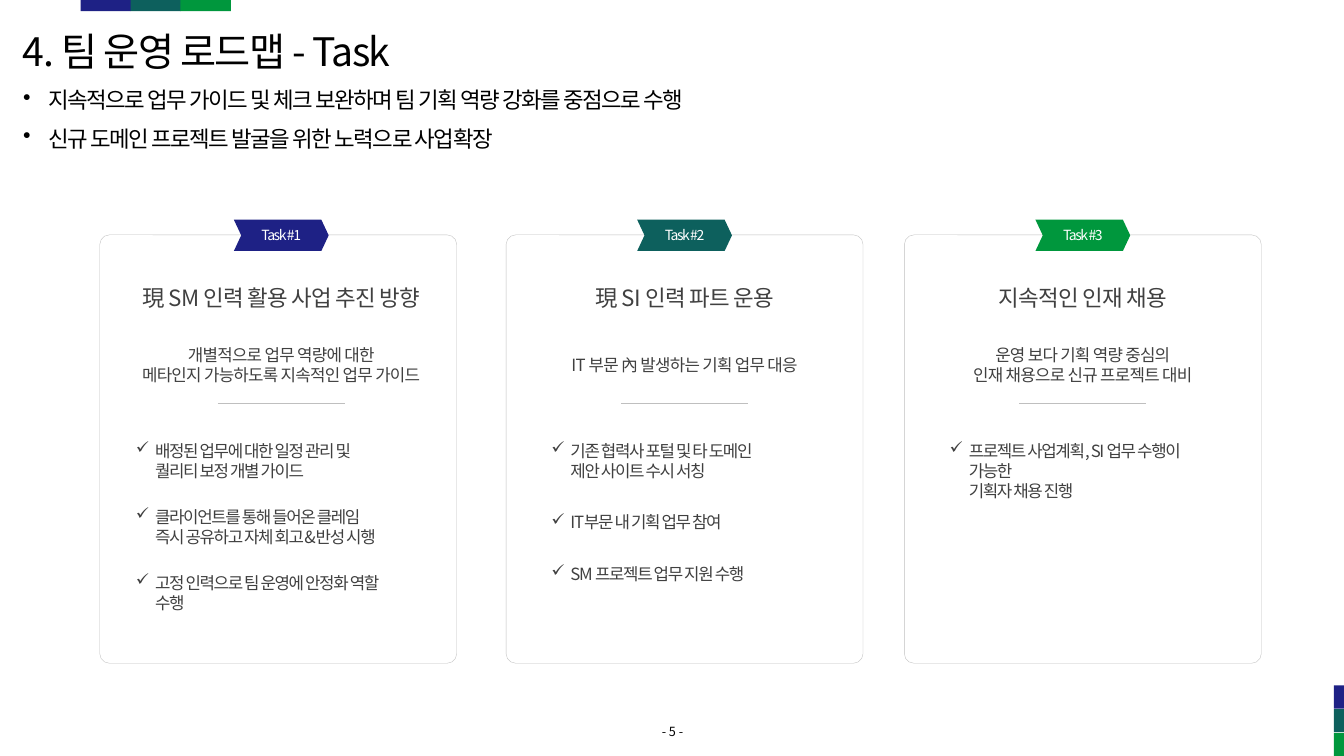
from dataclasses import dataclass

from lxml.etree import SubElement
from pptx import Presentation
from pptx.dml.color import RGBColor
from pptx.enum.shapes import MSO_CONNECTOR as Link, MSO_SHAPE as Kind
from pptx.enum.text import MSO_ANCHOR as Anchor, PP_ALIGN as Align
from pptx.oxml.ns import qn
from pptx.shapes.autoshape import Shape
from pptx.slide import Slide
from pptx.util import Inches, Pt

FONT = "Noto Sans CJK KR"
NAVY = RGBColor(0x1E, 0x21, 0x85)
TEAL = RGBColor(0x0D, 0x60, 0x5D)
GREEN = RGBColor(0x00, 0x97, 0x3D)
BLACK = RGBColor(0, 0, 0)
WHITE = RGBColor(255, 255, 255)
DARK = RGBColor(0x40, 0x40, 0x40)
GRAY = RGBColor(0xBF, 0xBF, 0xBF)


@dataclass
class Style:
    size: float
    color: RGBColor
    track: float = 0
    align: Align = Align.LEFT
    bullet: str = ""
    indent: float = 0
    gap: float = 0
    leading: float | None = None


@dataclass
class Task:
    color: RGBColor
    card: float
    mid: float
    inset: float
    head: str
    goal: list[str]
    steps: list[str]
    gap: float = 18.3


TITLE = Style(28, BLACK, -1, leading=0.9)
LEAD = Style(16, BLACK, -1, bullet="•", indent=0.25, gap=10, leading=0.9)
PAGE = Style(9, BLACK, align=Align.CENTER)
TAG = Style(10, WHITE, -1, Align.CENTER)
HEAD = Style(16, DARK, -0.5, Align.CENTER)
GOAL = Style(12, DARK, -0.5, Align.CENTER)

TASKS = [
    Task(NAVY, 0.99, 2.79, 0.26, "現 SM 인력 활용 사업 추진 방향",
         ["개별적으로 업무 역량에 대한", "메타인지 가능하도록 지속적인 업무 가이드"],
         ["배정된 업무에 대한 일정 관리 및 \n퀄리티 보정 개별 가이드",
          "클라이언트를 통해 들어온 클레임 \n즉시 공유하고 자체 회고&반성 시행",
          "고정 인력으로 팀 운영에 안정화 역할 수행"]),
    Task(TEAL, 5.02, 6.79, 0.35, "現 SI 인력 파트 운용",
         ["IT 부문 內 발생하는 기획 업무 대응"],
         ["기존 협력사 포털 및 타 도메인 \n제안 사이트 수시 서칭",
          "IT부문 내 기획 업무 참여",
          "SM 프로젝트 업무 지원 수행"], gap=22.3),
    Task(GREEN, 8.97, 10.74, 0.35, "지속적인 인재 채용",
         ["운영 보다 기획 역량 중심의", "인재 채용으로 신규 프로젝트 대비"],
         ["프로젝트 사업계획, SI 업무 수행이 가능한 \n기획자 채용 진행"]),
]


def write(shape: Shape, lines: list[str], style: Style,
          anchor: Anchor = Anchor.MIDDLE, wrap: bool = False) -> None:
    frame = shape.text_frame
    frame.word_wrap = wrap
    frame.vertical_anchor = anchor
    for i, line in enumerate(lines):
        para = frame.add_paragraph() if i else frame.paragraphs[0]
        para.text = line
        para.alignment = style.align
        para.line_spacing = style.leading
        if i:
            para.space_before = Pt(style.gap)
        font = para.font
        font.name, font.size = FONT, Pt(style.size)
        font.color.rgb = style.color
        props = para._p.pPr
        base = props.find(qn("a:defRPr"))
        base.set("spc", str(int(style.track * 100)))
        SubElement(base, qn("a:ea")).set("typeface", FONT)
        if style.bullet:
            props.set("marL", str(Inches(style.indent)))
            props.set("indent", str(-Inches(style.indent)))
            mark = SubElement(props, qn("a:buChar"))
            mark.set("char", style.bullet)
            base.addprevious(mark)


def box(slide: Slide, x: float, y: float, w: float, h: float) -> Shape:
    return slide.shapes.add_textbox(Inches(x), Inches(y), Inches(w), Inches(h))


def block(slide: Slide, kind: Kind, x: float, y: float, w: float, h: float,
          fill: RGBColor, bend: float | None = None) -> Shape:
    """Add a filled preset shape without line or shadow."""
    shape = slide.shapes.add_shape(kind, Inches(x), Inches(y), Inches(w), Inches(h))
    shape.shadow.inherit = False
    shape.fill.solid()
    shape.fill.fore_color.rgb = fill
    shape.line.fill.background()
    if bend is not None:
        shape.adjustments[0] = bend
    return shape


def rule(slide: Slide, x: float, y: float, w: float) -> None:
    """Add a thin level line."""
    line = slide.shapes.add_connector(
        Link.STRAIGHT, Inches(x), Inches(y), Inches(x + w), Inches(y))
    line.line.color.rgb = GRAY
    line.line.width = Pt(0.5)
    SubElement(line._element.spPr, qn("a:effectLst"))


def draw(slide: Slide, task: Task, num: int) -> None:
    card = block(slide, Kind.ROUNDED_RECTANGLE, task.card, 2.33, 3.54, 4.25, WHITE, 0.027)
    card.line.color.rgb = GRAY
    card.line.width = Pt(0.25)
    tag = block(slide, Kind.CHEVRON, task.mid - 0.47, 2.18, 0.94, 0.31, task.color, 0.235)
    write(tag, [f"Task #{num}"], TAG)
    for y, lines, style in ((2.76, [task.head], HEAD), (3.42, task.goal, GOAL)):
        label = block(slide, Kind.ROUNDED_RECTANGLE, task.mid - 0.785, y, 1.57, 0.39,
                      WHITE, 0.065)
        write(label, lines, style)
    rule(slide, task.mid - 0.63, 4, 1.26)
    steps = Style(12, DARK, -1, bullet="✓", indent=0.19, gap=task.gap)
    write(box(slide, task.card + task.inset, 4.32, 2.83, 1.75), task.steps, steps, Anchor.TOP)


def main() -> None:
    deck = Presentation()
    deck.slide_width, deck.slide_height = Inches(13.33), Inches(7.5)
    slide = deck.slides.add_slide(deck.slide_layouts[6])
    for i, color in enumerate((NAVY, TEAL, GREEN)):
        block(slide, Kind.RECTANGLE, 0.8 + i * 0.495, 0, 0.5, 0.11, color)
        block(slide, Kind.RECTANGLE, 13.23, 6.8 + i * 0.235, 0.1, 0.23, color)
    write(box(slide, 0.13, 0.23, 7.04, 0.61), ["4. 팀 운영 로드맵 - Task"], TITLE, wrap=True)
    write(box(slide, 0.13, 0.84, 12.59, 0.39),
          ["지속적으로 업무 가이드 및 체크 보완하며 팀 기획 역량 강화를 중점으로 수행",
           "신규 도메인 프로젝트 발굴을 위한 노력으로 사업확장"],
          LEAD, Anchor.TOP, wrap=True)
    for num, task in enumerate(TASKS, 1):
        draw(slide, task, num)
    write(box(slide, 6.26, 7.09, 0.82, 0.34), ["- 5 -"], PAGE)
    deck.save("out.pptx")


if __name__ == "__main__":
    main()
